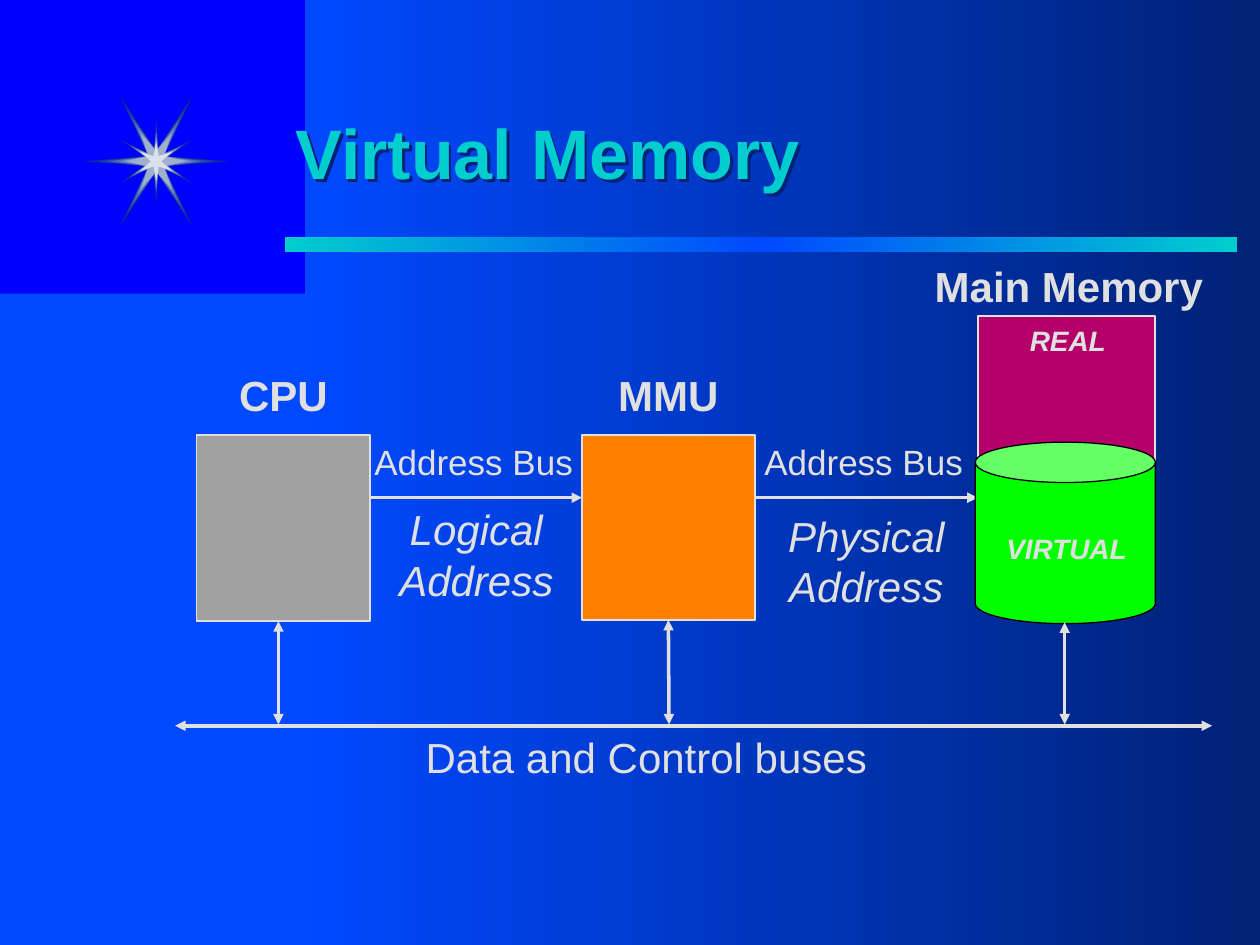
from dataclasses import dataclass

from lxml import etree
from pptx import Presentation
from pptx.dml.color import RGBColor
from pptx.enum.shapes import MSO_CONNECTOR, MSO_SHAPE
from pptx.enum.text import MSO_ANCHOR, PP_ALIGN
from pptx.oxml.ns import qn
from pptx.util import Inches, Pt

RECT, CAN = MSO_SHAPE.RECTANGLE, MSO_SHAPE.CAN
STRAIGHT = MSO_CONNECTOR.STRAIGHT
LEFT, CENTER = PP_ALIGN.LEFT, PP_ALIGN.CENTER
TOP, MIDDLE = MSO_ANCHOR.TOP, MSO_ANCHOR.MIDDLE
BOTTOM_SITE = 2


@dataclass(frozen=True)
class Theme:
    font: str = "Arial"
    background: str = "0000FF"
    bright: str = "0049FF"
    navy: str = "002276"
    accent: str = "00CECE"
    light: str = "E0E0E0"
    black: str = "000000"
    cpu: str = "A0A0A0"
    mmu: str = "FF8000"
    real: str = "B50069"
    virtual: str = "00FF00"
    title_size: int = 40
    label_size: int = 24
    bus_size: int = 20
    part_size: int = 16


T = Theme()

# Unit outlines: tips scale with the star's radius, notches stay fixed in inches.
WIDE_TIPS = [(1, 0), (0.5, 0.9), (-0.5, 0.9), (-1, 0), (-0.5, -0.9), (0.5, -0.9)]
WIDE_NOTCHES = [(0.06, 0.04), (0, 0.08), (-0.06, 0.04),
                (-0.06, -0.04), (0, -0.08), (0.06, -0.04)]
# The tall star is the wide one turned on its side.
TALL_TIPS = [(0.83, 0.5), (0, 1), (-0.83, 0.5), (-0.83, -0.5), (0, -1), (0.83, -0.5)]
TALL_NOTCHES = [(0.02, 0.04), (-0.02, 0.04), (-0.04, 0),
                (-0.02, -0.04), (0.02, -0.04), (0.04, 0)]
WIDE, TALL = (WIDE_TIPS, WIDE_NOTCHES), (TALL_TIPS, TALL_NOTCHES)
STAR_LAYERS = [
    (WIDE, 0.58, "0B2B9E"), (TALL, 0.34, "102FA1"), (WIDE, 0.47, "2645AC"),
    (TALL, 0.25, "4464B9"), (WIDE, 0.38, "4464B9"), (TALL, 0.23, "4E6EBC"),
    (WIDE, 0.35, "4E6EBC"), (TALL, 0.22, "5A79C0"), (TALL, 0.2, "7992C6"),
    (WIDE, 0.29, "7992C6"), (WIDE, 0.24, "A0B0CE"), (TALL, 0.16, "D9D9D9"),
    (TALL, 0.14, "DCE0ED"),
]


def rgb(color):
    return RGBColor.from_string(color)


def paint(sp, fill, line=None, width=1):
    sp.shadow.inherit = False
    sp.fill.solid()
    sp.fill.fore_color.rgb = rgb(fill)
    if line:
        sp.line.color.rgb = rgb(line)
        sp.line.width = Pt(width)
    else:
        sp.line.fill.background()


def add_box(slide, box, fill, line=None, width=1, kind=RECT):
    sp = slide.shapes.add_shape(kind, *map(Inches, box))
    paint(sp, fill, line, width)
    return sp


def add_gradient_box(slide, box, colors):
    """Rectangle shading from left to right through evenly spaced colors."""
    sp = add_box(slide, box, colors[0])
    sp.fill.gradient()
    sp.fill.gradient_angle = 0
    stops = sp._element.spPr.find(qn("a:gradFill")).find(qn("a:gsLst"))
    for stop in list(stops):
        stops.remove(stop)
    for i, color in enumerate(colors):
        pos = str(100000 * i // (len(colors) - 1))
        stop = etree.SubElement(stops, qn("a:gs"), pos=pos)
        etree.SubElement(stop, qn("a:srgbClr"), val=color)


def add_text(slide, text, box, size=T.label_size, color=T.light, bold=False,
             italic=False, align=CENTER, anchor=TOP, wrap=True):
    """Text box with one paragraph for each line of text."""
    sp = slide.shapes.add_textbox(*map(Inches, box))
    tf = sp.text_frame
    tf.word_wrap = wrap
    tf.vertical_anchor = anchor
    for i, line in enumerate(text.split("\n")):
        p = tf.add_paragraph() if i else tf.paragraphs[0]
        p.alignment = align
        r = p.add_run()
        r.text = line
        r.font.name = T.font
        r.font.size = Pt(size)
        r.font.bold = bold
        r.font.italic = italic
        r.font.color.rgb = rgb(color)
    return sp


def add_shadow(sp):
    """Shadow of an unfilled box, which falls from its text."""
    effects = etree.SubElement(sp._element.spPr, qn("a:effectLst"))
    shadow = etree.SubElement(effects, qn("a:outerShdw"), dist="25400", dir="2700000")
    etree.SubElement(shadow, qn("a:srgbClr"), val=T.navy)


def add_arrow(slide, start, end, both=False, source=None):
    c = slide.shapes.add_connector(STRAIGHT, *map(Inches, (*start, *end)))
    if source is not None:
        c.begin_connect(source, BOTTOM_SITE)
    c.line.color.rgb = rgb(T.light)
    c.line.width = Pt(2)
    ln = c.line._get_or_add_ln()
    for tag in ("a:headEnd", "a:tailEnd") if both else ("a:tailEnd",):
        etree.SubElement(ln, qn(tag), type="triangle")
    etree.SubElement(c._element.spPr, qn("a:effectLst"))


def add_star(slide, cx, cy):
    for (tips, notches), radius, color in STAR_LAYERS:
        points = []
        for (tx, ty), (nx, ny) in zip(tips, notches):
            points += [(cx + radius * tx, cy + radius * ty), (cx + nx, cy + ny)]
        points = [(Inches(x), Inches(y)) for x, y in points]
        builder = slide.shapes.build_freeform(*points[0])
        builder.add_line_segments(points[1:], close=True)
        paint(builder.convert_to_shape(), color)


def add_backdrop(slide, width, height):
    slide.background.fill.solid()
    slide.background.fill.fore_color.rgb = rgb(T.background)
    split, top = 2.42, 2.33
    add_box(slide, (0, top, split, height - top), T.bright)
    add_gradient_box(slide, (split, 0, width - split, height), [T.bright, T.navy])
    add_gradient_box(slide, (2.26, 1.88, 7.56, 0.12), [T.accent, T.bright, T.accent])
    add_star(slide, 1.24, 1.28)


def add_title(slide, text, box):
    sp = add_text(slide, text, box, size=T.title_size, color=T.accent, bold=True,
                  align=LEFT, anchor=MIDDLE)
    add_shadow(sp)


def add_unit(slide, name, box, fill):
    """Processing unit with its name above it."""
    left, top, width, _ = box
    add_text(slide, name, (left, top - 0.57, width, 0.5), bold=True)
    return add_box(slide, box, fill, T.light)


def add_address_bus(slide, caption, box, caption_drop):
    """Arrow across the box, bus name above and address kind below."""
    left, top, width, _ = box
    y, label_width = top + 0.5, 1.9
    label_left = left + (width - label_width) / 2 - 0.02
    add_arrow(slide, (left, y), (left + width, y))
    add_text(slide, "Address Bus", (label_left, top, label_width, 0.43),
             size=T.bus_size, wrap=False)
    add_text(slide, caption, (left, y + caption_drop, width, 0.9), italic=True)


def add_main_memory(slide, box):
    left, top, width, _ = box
    part = dict(size=T.part_size, bold=True, italic=True)
    add_box(slide, (left, top, width, 2.18), T.real, T.light)
    add_text(slide, "Main Memory", (left - 0.44, top - 0.49, 2.33, 0.5),
             bold=True, align=LEFT, wrap=False)
    add_text(slide, "REAL", (left + 0.01, top + 0.01, width, 0.37), **part)
    can = add_box(slide, (left - 0.02, top + 1, width + 0.02, 1.44),
                  T.virtual, T.black, 0.75, kind=CAN)
    can.adjustments[0] = 0.224
    add_text(slide, "VIRTUAL", (left + 0.12, top + 1.66, 1.17, 0.37), **part)


def add_data_bus(slide, left, y, width, mmu):
    """Two-headed bus line with a link up to each unit."""
    add_arrow(slide, (left, y), (left + width, y), both=True)
    for x, top, source in ((2.21, 4.93, None), (5.31, 4.92, mmu), (8.45, 4.94, None)):
        add_arrow(slide, (x, top), (x, y - 0.01), both=True, source=source)
    add_text(slide, "Data and Control buses", (3.28, y, 3.7, 0.5), align=LEFT, wrap=False)


def main():
    prs = Presentation()
    prs.slide_width, prs.slide_height = Inches(10), Inches(7.5)
    slide = prs.slides.add_slide(prs.slide_layouts[6])
    add_backdrop(slide, 10, 7.5)
    add_title(slide, "Virtual Memory", (2.25, 0.58, 7.58, 1.25))
    add_unit(slide, "CPU", (1.56, 3.45, 1.38, 1.48), T.cpu)
    mmu = add_unit(slide, "MMU", (4.62, 3.45, 1.37, 1.47), T.mmu)
    add_address_bus(slide, "Logical\nAddress", (2.94, 3.45, 1.68, 1.4), 0)
    add_address_bus(slide, "Physical\nAddress", (5.99, 3.45, 1.77, 1.4), 0.05)
    add_main_memory(slide, (7.76, 2.51, 1.41, 2.44))
    add_data_bus(slide, 1.39, 5.76, 8.23, mmu)
    prs.save("out.pptx")


if __name__ == "__main__":
    main()
